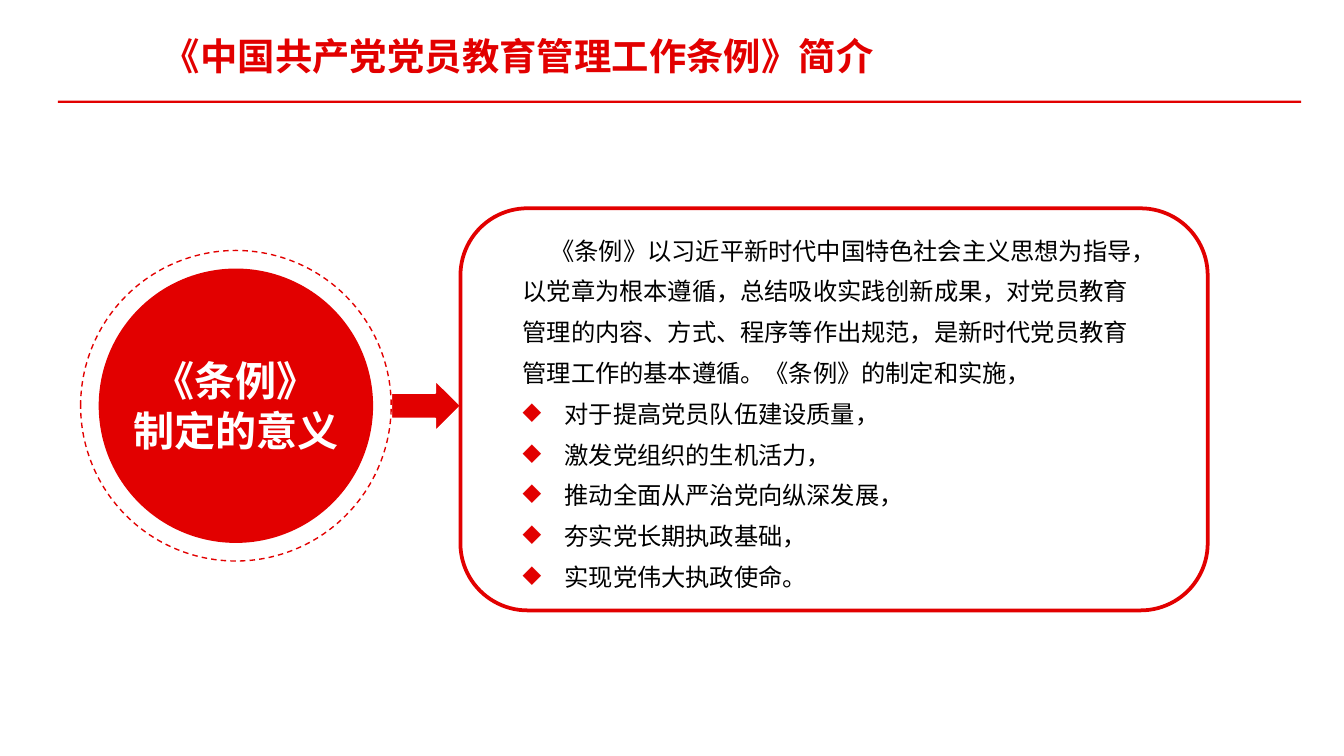
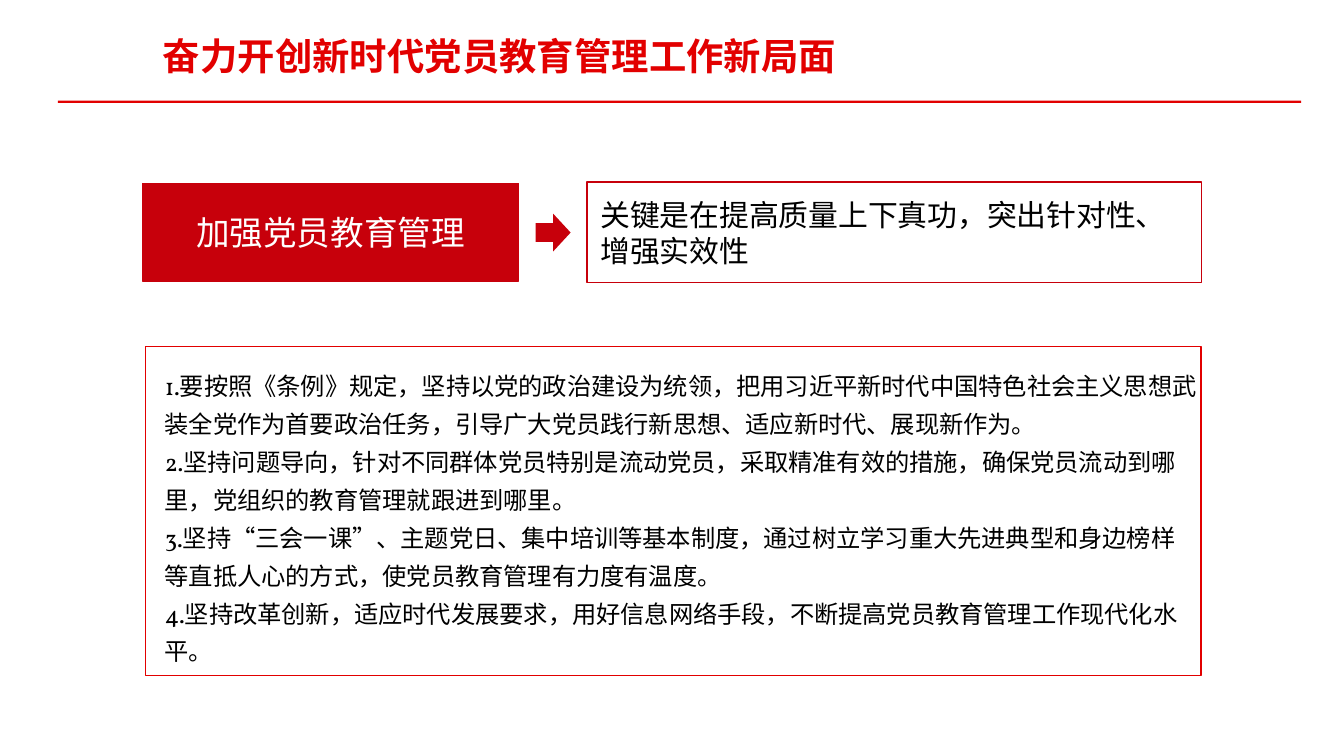
from lxml.etree import SubElement
from pptx import Presentation
from pptx.dml.color import RGBColor
from pptx.enum.dml import MSO_LINE
from pptx.enum.lang import MSO_LANGUAGE_ID
from pptx.enum.shapes import MSO_SHAPE
from pptx.enum.text import MSO_ANCHOR, MSO_AUTO_SIZE, PP_ALIGN
from pptx.oxml.ns import qn
from pptx.util import Pt

MEANING_TITLE = "《中国共产党党员教育管理工作条例》简介"
MEANING_TOPIC = ["《条例》", "制定的意义"]
MEANING_INTRO = (
    "《条例》以习近平新时代中国特色社会主义思想为指导，以党章为根本遵循，"
    "总结吸收实践创新成果，对党员教育管理的内容、方式、程序等作出规范，"
    "是新时代党员教育管理工作的基本遵循。《条例》的制定和实施，"
)
MEANING_GOALS = [
    "对于提高党员队伍建设质量，",
    "激发党组织的生机活力，",
    "推动全面从严治党向纵深发展，",
    "夯实党长期执政基础，",
    "实现党伟大执政使命。",
]

PROGRESS_TITLE = "奋力开创新时代党员教育管理工作新局面"
PROGRESS_TASK = "加强党员教育管理"
PROGRESS_KEY = "关键是在提高质量上下真功，突出针对性、增强实效性"
PROGRESS_MEASURES = [
    "1.要按照《条例》规定，坚持以党的政治建设为统领，把用习近平新时代中国特色社会主义思想"
    "武装全党作为首要政治任务，引导广大党员践行新思想、适应新时代、展现新作为。",
    "2.坚持问题导向，针对不同群体党员特别是流动党员，采取精准有效的措施，"
    "确保党员流动到哪里，党组织的教育管理就跟进到哪里。",
    "3.坚持“三会一课”、主题党日、集中培训等基本制度，"
    "通过树立学习重大先进典型和身边榜样等直抵人心的方式，使党员教育管理有力度有温度。",
    "4.坚持改革创新，适应时代发展要求，用好信息网络手段，"
    "不断提高党员教育管理工作现代化水平。",
]

FONT = "Vollkorn"
RED = RGBColor(0xE2, 0x00, 0x00)
DEEP_RED = RGBColor(0xC7, 0x00, 0x0B)
WHITE = RGBColor(0xFF, 0xFF, 0xFF)
BLACK = RGBColor(0x00, 0x00, 0x00)

WIDE_INSETS = (7.2, 3.6)
TIGHT_INSETS = (5.3, 2.6)
BULLET_INDENT = 22.5
INTRO_INDENT = 15


def add_figure(slide, preset, box, fill=None, line=None, weight=0.75):
    figure = slide.shapes.add_shape(preset, *map(Pt, box))
    figure.shadow.inherit = False
    if fill is None:
        figure.fill.background()
    else:
        figure.fill.solid()
        figure.fill.fore_color.rgb = fill
    if line is None:
        figure.line.fill.background()
    else:
        figure.line.color.rgb = line
        figure.line.width = Pt(weight)
    return figure


def write(frame, texts, size, color, bold=False, align=PP_ALIGN.LEFT,
          spacing=None, insets=WIDE_INSETS):
    frame.word_wrap = True
    frame.margin_left = frame.margin_right = Pt(insets[0])
    frame.margin_top = frame.margin_bottom = Pt(insets[1])
    for index, text in enumerate(texts):
        paragraph = frame.add_paragraph() if index else frame.paragraphs[0]
        paragraph.alignment = align
        if spacing:
            paragraph.line_spacing = spacing
        run = paragraph.add_run()
        run.text = text
        run.font.name = FONT
        run.font.size = Pt(size)
        run.font.bold = bold
        run.font.color.rgb = color
        run.font.language_id = MSO_LANGUAGE_ID.SIMPLIFIED_CHINESE
    return frame.paragraphs


def add_text(slide, box, texts, size, color, **style):
    frame = slide.shapes.add_textbox(*map(Pt, box)).text_frame
    frame.auto_size = MSO_AUTO_SIZE.SHAPE_TO_FIT_TEXT
    return write(frame, texts, size, color, **style)


def add_label(figure, text, size, color, align):
    figure.text_frame.vertical_anchor = MSO_ANCHOR.MIDDLE
    write(figure.text_frame, [text], size, color, align=align)


def add_diamond(paragraph):
    properties = paragraph._p.get_or_add_pPr()
    properties.set("marL", str(Pt(BULLET_INDENT)))
    properties.set("indent", str(-Pt(BULLET_INDENT)))
    bullet_color = SubElement(properties, qn("a:buClr"))
    SubElement(bullet_color, qn("a:srgbClr")).set("val", str(RED))
    SubElement(properties, qn("a:buChar")).set("char", "◆")


def circle_box(center, diameter):
    x, y = center
    return x - diameter / 2, y - diameter / 2, diameter, diameter


def add_titled_slide(deck, title, title_width):
    slide = deck.slides.add_slide(deck.slide_layouts[6])
    add_figure(slide, MSO_SHAPE.RECTANGLE, (31, 54, 666, 1.2), fill=RED)
    add_text(slide, (82, 15.2, title_width, 29.5), [title], 20, RED,
             bold=True, insets=TIGHT_INSETS)
    return slide


def build_meaning(deck):
    slide = add_titled_slide(deck, MEANING_TITLE, 402.5)
    center = (126.4, 217.4)
    add_figure(slide, MSO_SHAPE.RIGHT_ARROW, (209.5, center[1] - 13.7, 37.4, 27.4),
               fill=RED, line=WHITE, weight=1)
    add_figure(slide, MSO_SHAPE.ROUNDED_RECTANGLE, (246.7, 111.6, 400.3, 215.4),
               fill=WHITE, line=RED, weight=2)
    ring = add_figure(slide, MSO_SHAPE.OVAL, circle_box(center, 166.4), line=RED)
    ring.line.dash_style = MSO_LINE.DASH
    disc = circle_box(center, 147)
    add_figure(slide, MSO_SHAPE.OVAL, disc, fill=RED)
    add_text(slide, (disc[0], 188, disc[2], 59), MEANING_TOPIC, 22, WHITE,
             bold=True, align=PP_ALIGN.CENTER, insets=TIGHT_INSETS)
    intro, *goals = add_text(slide, (272.9, 116.6, 347, 206),
                             [MEANING_INTRO, *MEANING_GOALS], 13, BLACK, spacing=1.4)
    intro._p.get_or_add_pPr().set("indent", str(Pt(INTRO_INDENT)))
    for goal in goals:
        add_diamond(goal)


def build_progress(deck):
    slide = add_titled_slide(deck, PROGRESS_TITLE, 487.5)
    add_text(slide, (81.2, 190.8, 566.6, 171.4), PROGRESS_MEASURES, 13, BLACK,
             spacing=1.3)
    add_figure(slide, MSO_SHAPE.RECTANGLE, (78, 185.8, 565.4, 176.2), line=RED)
    key = add_figure(slide, MSO_SHAPE.RECTANGLE, (314.6, 97.6, 329, 53.8), line=DEEP_RED)
    add_label(key, PROGRESS_KEY, 16, BLACK, PP_ALIGN.LEFT)
    task = add_figure(slide, MSO_SHAPE.RECTANGLE, (76.3, 98.2, 201.6, 52.5),
                      fill=DEEP_RED, line=DEEP_RED)
    add_label(task, PROGRESS_TASK, 18, WHITE, PP_ALIGN.CENTER)
    add_figure(slide, MSO_SHAPE.RIGHT_ARROW, (287, 114.5, 18.7, 20.2), fill=DEEP_RED)


def main():
    deck = Presentation()
    deck.slide_width, deck.slide_height = Pt(720), Pt(405)
    build_meaning(deck)
    build_progress(deck)
    deck.save("out.pptx")


if __name__ == "__main__":
    main()
